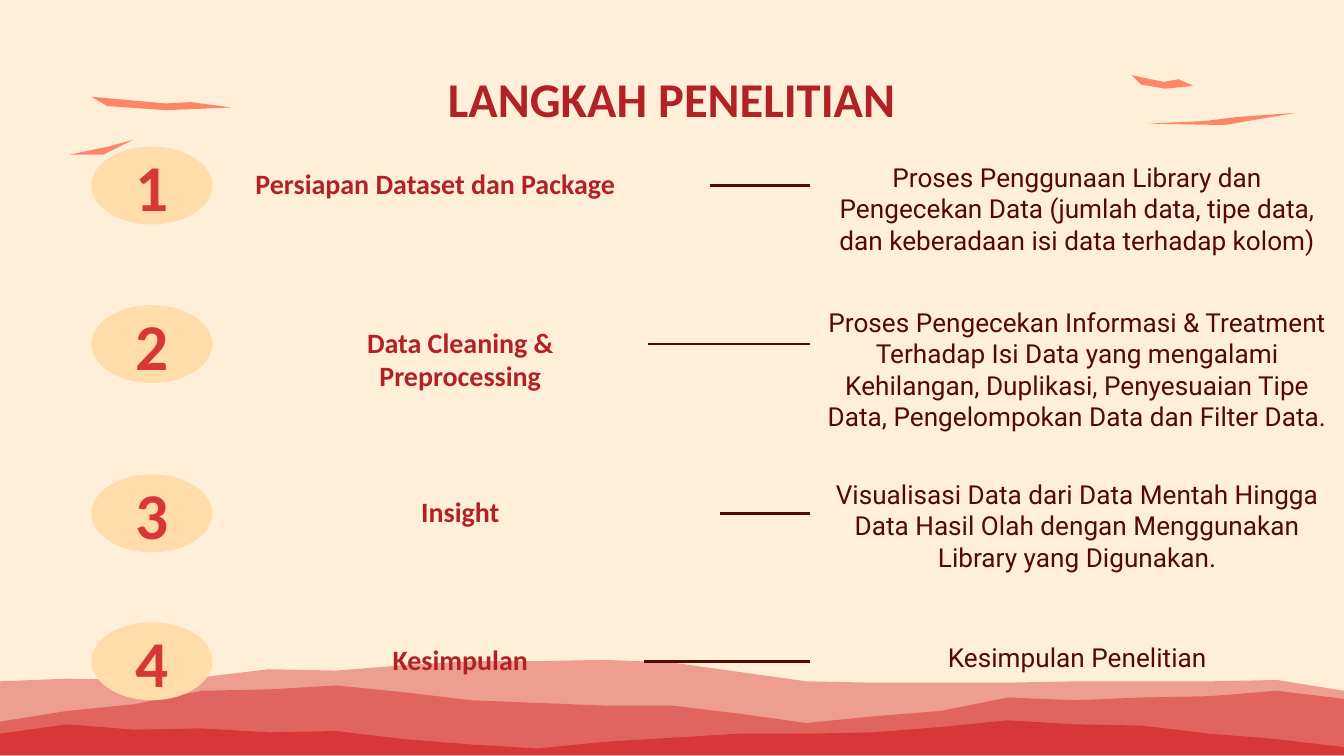
from lxml.etree import SubElement
from pptx import Presentation
from pptx.dml.color import RGBColor
from pptx.enum.shapes import MSO_CONNECTOR, MSO_SHAPE
from pptx.enum.text import MSO_ANCHOR as ANCHOR, MSO_AUTO_SIZE as FIT, PP_ALIGN
from pptx.oxml.ns import qn
from pptx.util import Inches, Pt

CREAM = RGBColor(0xFF, 0xEF, 0xD8)
PEACH = RGBColor(0xFF, 0xDC, 0xAA)
CORAL = RGBColor(0xFD, 0x86, 0x67)
RED = RGBColor(0xD8, 0x37, 0x37)
CRIMSON = RGBColor(0xB2, 0x22, 0x25)
MAROON = RGBColor(0x52, 0x09, 0x08)

W = Inches(10)
H = W * 9 // 16
U = W // 100  # grid unit: one hundredth of the slide width
DESC_X = 60.3
BADGE_X, BADGE_W, BADGE_H = 6.8, 9, 5.8


def write(sp, text, size, color, font="Calibri", bold=True, anchor=ANCHOR.TOP, pad=U):
    tf = sp.text_frame
    tf.word_wrap = True
    tf.auto_size = FIT.NONE
    tf.vertical_anchor = anchor
    tf.margin_left = tf.margin_right = U
    tf.margin_top = tf.margin_bottom = pad
    p = tf.paragraphs[0]
    p.alignment = PP_ALIGN.CENTER
    r = p.add_run()
    r.text = text
    r.font.size, r.font.name, r.font.bold = Pt(size), font, bold
    r.font.color.rgb = color


def outline(points, color, alpha=100):
    """Draw a filled closed polygon; points are in tenths of a grid unit."""
    fb = s.shapes.build_freeform(*points[0], scale=U / 10)
    fb.add_line_segments(points[1:], close=True)
    sp = fb.convert_to_shape()
    sp.shadow.inherit = False
    sp.fill.solid()
    sp.fill.fore_color.rgb = color
    sp.line.fill.background()
    if alpha < 100:
        srgb = sp._element.spPr.find(".//" + qn("a:srgbClr"))
        SubElement(srgb, qn("a:alpha"), val=str(alpha * 1000))


prs = Presentation()
prs.slide_width, prs.slide_height = W, H
s = prs.slides.add_slide(prs.slide_layouts[5])
s.background.fill.solid()
s.background.fill.fore_color.rgb = CREAM

# Hills, back to front: opacity in percent, crest heights at equal steps across
hills = [
    (44, [507, 505, 506, 504, 498, 499, 495, 492, 492, 491, 493,
          500, 507, 508, 508, 508, 507, 507, 507, 506, 514]),
    (55, [537, 529, 524, 514, 513, 510, 515, 521, 523, 525, 525,
          531, 538, 533, 529, 519, 521, 519, 518, 514, 520]),
    (100, [546, 539, 543, 542, 545, 544, 550, 554, 557, 552, 549,
           546, 546, 545, 541, 536, 539, 540, 546, 550, 556]),
]
for alpha, crest in hills:
    step = 1000 // (len(crest) - 1)
    points = [(i * step, y) for i, y in enumerate(crest)]
    outline(points + [(1000, 562), (0, 562)], RED, alpha)

streaks = [
    [(842, 56), (849, 63), (867, 66), (888, 64), (877, 59), (866, 61)],
    [(964, 84), (921, 87), (897, 90), (854, 92), (911, 93)],
    [(68, 72), (80, 79), (124, 82), (172, 80), (142, 76), (123, 77)],
    [(99, 104), (81, 109), (52, 115), (77, 115)],
]
for streak in streaks:
    outline(streak, CORAL)

title = s.shapes.title
title.width, title.height = int(W * 0.84), int(H * 0.08)
title.left, title.top = (W - title.width) // 2, int(H * 0.09)
write(title, "LANGKAH PENELITIAN", 26, CRIMSON, anchor=ANCHOR.MIDDLE, pad=0)

# Per step: row top, label left and width, label, line start,
# description top, description
steps = [
    (10.9, 11.9, 41, "Persiapan Dataset dan Package", 52.8, 11,
     "Proses Penggunaan Library dan Pengecekan Data (jumlah data, tipe data, "
     "dan keberadaan isi data terhadap kolom)"),
    (22.7, 20.3, 27.9, "Data Cleaning & Preprocessing", 48.2, 21.8,
     "Proses Pengecekan Informasi & Treatment Terhadap Isi Data yang mengalami "
     "Kehilangan, Duplikasi, Penyesuaian Tipe Data, Pengelompokan Data dan Filter Data."),
    (35.3, 14.9, 38.7, "Insight", 53.6, 34.6,
     "Visualisasi Data dari Data Mentah Hingga Data Hasil Olah dengan Menggunakan "
     "Library yang Digunakan."),
    (46.3, 14.9, 38.7, "Kesimpulan", 47.9, 46.7, "Kesimpulan Penelitian"),
]
for n, (top, label_x, label_w, label, line_x, desc_y, desc) in enumerate(steps, 1):
    badge = s.shapes.add_shape(
        MSO_SHAPE.OVAL, *(int(v * U) for v in (BADGE_X, top, BADGE_W, BADGE_H)))
    badge.shadow.inherit = False
    badge.fill.solid()
    badge.fill.fore_color.rgb = PEACH
    badge.line.fill.background()
    write(badge, str(n), 35, RED, anchor=ANCHOR.MIDDLE)

    tb = s.shapes.add_textbox(*(int(v * U) for v in (label_x, top + 0.5, label_w, 3.4)))
    write(tb, label, 15, CRIMSON)
    tb = s.shapes.add_textbox(
        *(int(v * U) for v in (DESC_X, desc_y, 100 - DESC_X, BADGE_H)))
    write(tb, desc, 14, MAROON, font="Roboto", bold=False)

    mid = top + BADGE_H / 2
    line = s.shapes.add_connector(
        MSO_CONNECTOR.STRAIGHT, *(int(v * U) for v in (line_x, mid, DESC_X, mid)))
    line.line.color.rgb = MAROON
    line.line.width = Pt(1.5)
    SubElement(line._element.spPr, qn("a:effectLst"))

prs.save("out.pptx")
